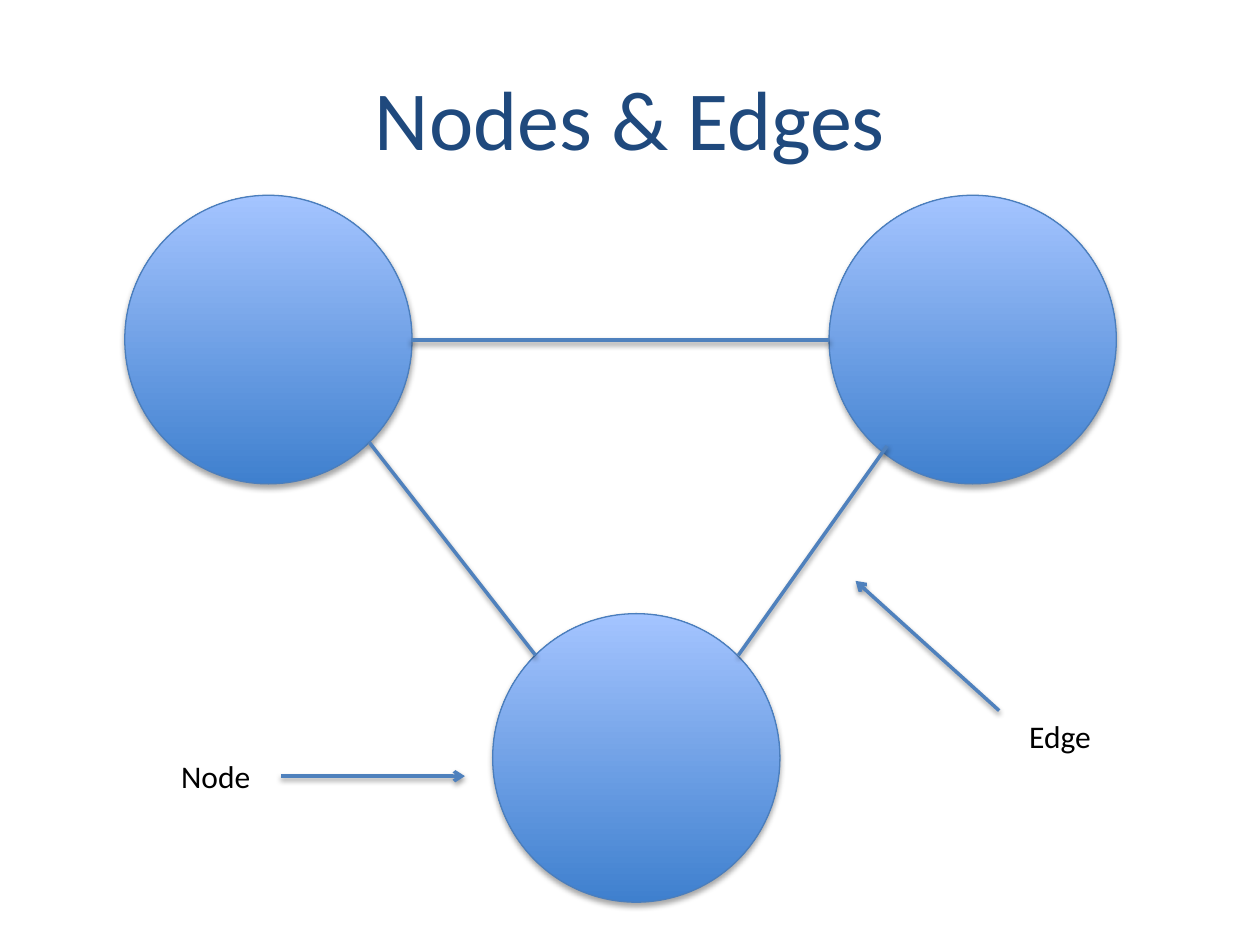
import pptx
import pptx.util
import pptx.dml.color
import pptx.enum.shapes
import pptx.enum.text
import pptx.oxml
import pptx.oxml.ns
from pptx.util import Inches

COLORS = {
    "title": "1F497D",
    "node_bottom": "3F80CE",
    "node_top": "A4C4FF",
    "node_line": "4B7EBC",
    "edge": "4F81BD",
    "label": "000000",
    "shadow": "000000",
}
FONT = "Calibri"
NODE_SIZE = (2.28, 2.29)


def rgb(name):
    return pptx.dml.color.RGBColor.from_string(COLORS[name])


def style_text(paragraph, size, color):
    paragraph.font.name = FONT
    paragraph.font.size = pptx.util.Pt(size)
    paragraph.font.color.rgb = rgb(color)


def add_shadow(properties, opacity, distance):
    blur = pptx.util.Pt(3.1)
    offset = pptx.util.Pt(distance)
    properties.append(pptx.oxml.parse_xml(
        f'<a:effectLst {pptx.oxml.ns.nsdecls("a")}>'
        f'<a:outerShdw blurRad="{blur}" dist="{offset}" dir="5400000" rotWithShape="0">'
        f'<a:srgbClr val="{COLORS["shadow"]}"><a:alpha val="{opacity * 1000}"/></a:srgbClr>'
        '</a:outerShdw></a:effectLst>'))


def place_title(slide, left, top, width, height):
    title = slide.shapes.title
    title.left, title.top = Inches(left), Inches(top)
    title.width, title.height = Inches(width), Inches(height)
    title.text_frame.text = "Nodes & Edges"
    title.text_frame.vertical_anchor = pptx.enum.text.MSO_ANCHOR.MIDDLE
    heading = title.text_frame.paragraphs[0]
    heading.alignment = pptx.enum.text.PP_ALIGN.CENTER
    style_text(heading, 48, "title")


def add_node(slide, left, top):
    node = slide.shapes.add_shape(
        pptx.enum.shapes.MSO_SHAPE.OVAL, Inches(left), Inches(top),
        *map(Inches, NODE_SIZE))
    node.fill.gradient()
    node.fill.gradient_angle = 90
    for stop, color in zip(node.fill.gradient_stops, ("node_bottom", "node_top")):
        stop.color.rgb = rgb(color)
    node.line.color.rgb = rgb("node_line")
    node.line.width = pptx.util.Pt(0.75)
    add_shadow(node._element.spPr, 35, 1.8)


def add_edge(slide, start, end, arrow=False):
    edge = slide.shapes.add_connector(
        pptx.enum.shapes.MSO_CONNECTOR.STRAIGHT, *map(Inches, start + end))
    edge.line.color.rgb = rgb("edge")
    edge.line.width = pptx.util.Pt(2)
    if arrow:
        edge.line._get_or_add_ln().append(pptx.oxml.parse_xml(
            f'<a:tailEnd {pptx.oxml.ns.nsdecls("a")} type="arrow"/>'))
    add_shadow(edge._element.spPr, 38, 1.6)


def place_graph(slide, left, top):
    for x, y in ((0, 0), (2.92, 3.32), (5.59, 0)):
        add_node(slide, left + x, top + y)
    for x1, y1, x2, y2 in ((4.87, 3.65, 6.05, 1.99),
                           (2.27, 1.15, 5.59, 1.15),
                           (3.26, 3.65, 1.94, 1.96)):
        add_edge(slide, (left + x1, top + y1), (left + x2, top + y2))


def place_callout(slide, left, top, width, text, arrow_start, arrow_end):
    start, end = ((left + x, top + y) for x, y in (arrow_start, arrow_end))
    add_edge(slide, start, end, arrow=True)
    label = slide.shapes.add_textbox(
        Inches(left), Inches(top), Inches(width), Inches(0.4))
    label.text_frame.word_wrap = True
    label.text_frame.auto_size = pptx.enum.text.MSO_AUTO_SIZE.SHAPE_TO_FIT_TEXT
    label.text_frame.text = text
    style_text(label.text_frame.paragraphs[0], 18, "label")


def main():
    deck = pptx.Presentation()
    deck.slide_width, deck.slide_height = Inches(10), Inches(7.5)
    slide = deck.slides.add_slide(deck.slide_layouts[5])
    place_title(slide, 0.5, 0.3, 9, 1.25)
    place_graph(slide, 0.99, 1.55)
    place_callout(slide, 8.07, 5.64, 1.57, "Edge", (-0.14, 0), (-1.28, -1.03))
    place_callout(slide, 1.34, 5.96, 0.83, "Node", (0.89, 0.2), (2.35, 0.2))
    deck.save("out.pptx")


if __name__ == "__main__":
    main()
